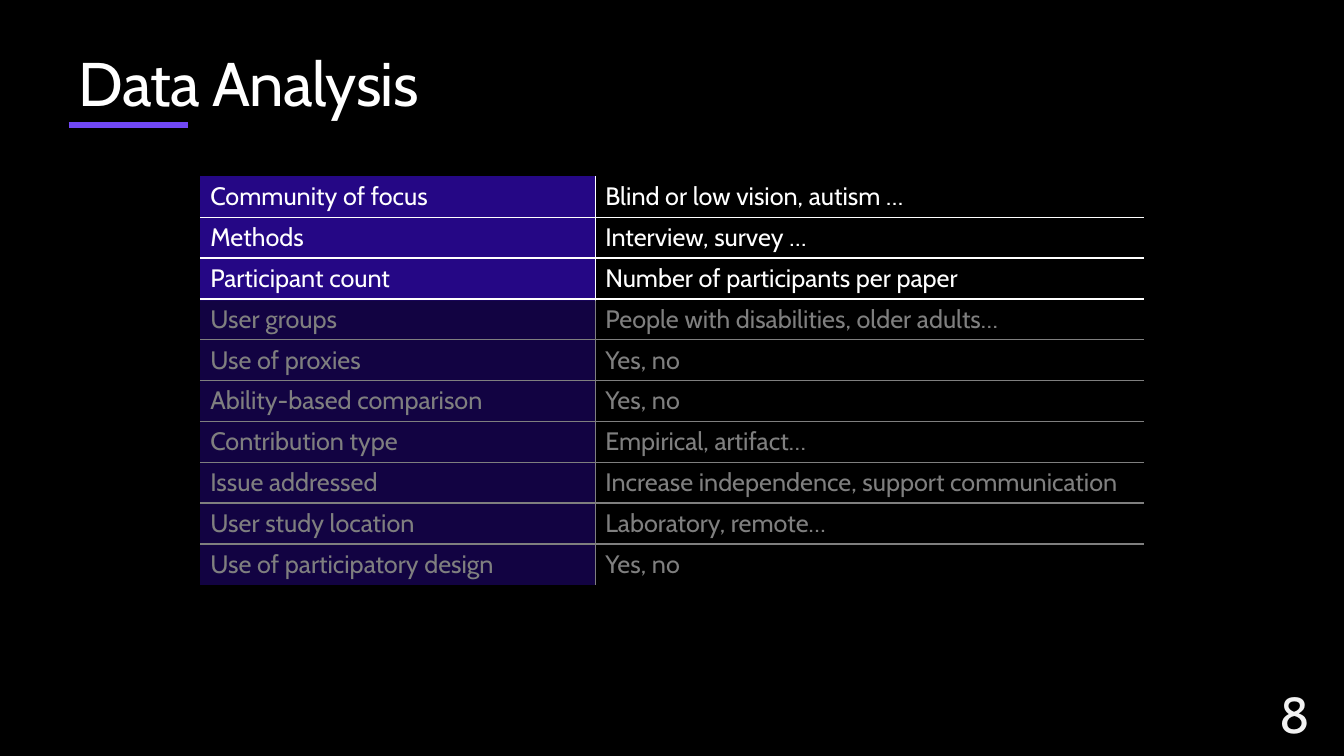
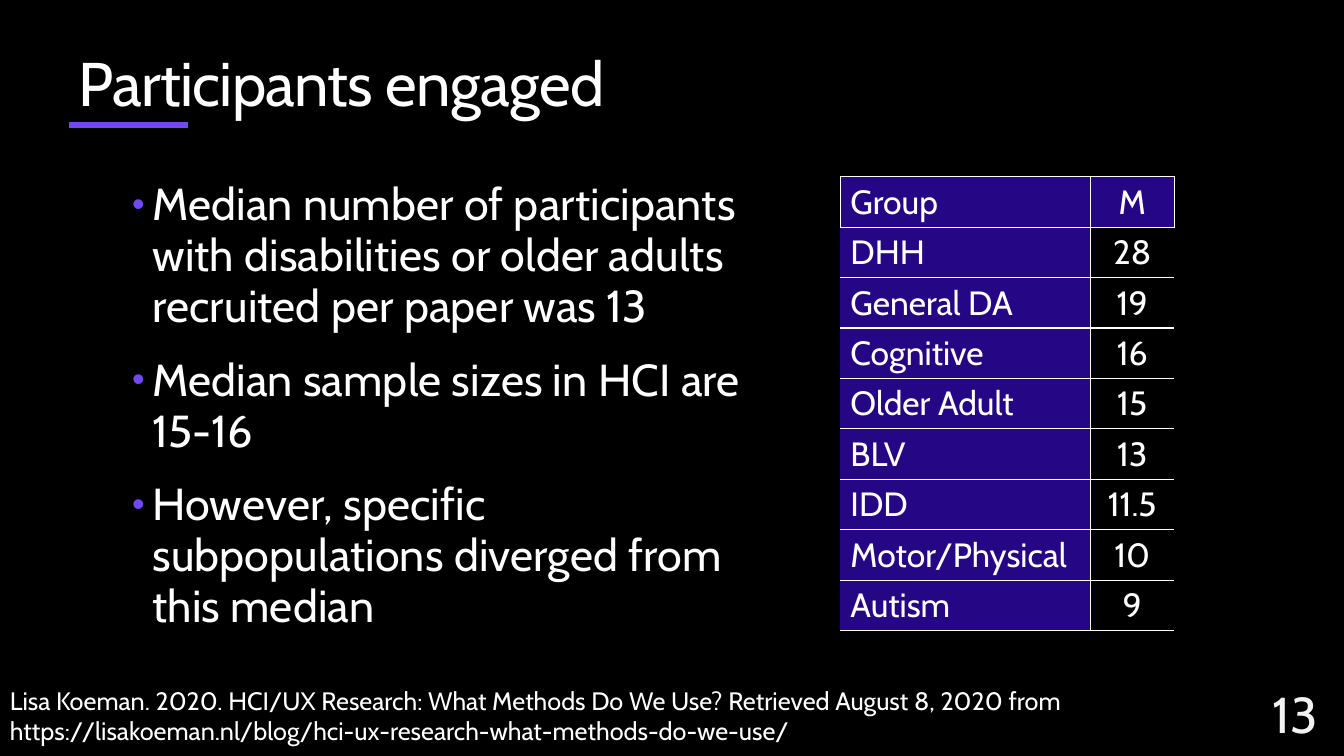
from dataclasses import dataclass

from lxml import etree
from pptx import Presentation
from pptx.dml.color import RGBColor
from pptx.enum.shapes import MSO_CONNECTOR, MSO_SHAPE
from pptx.enum.text import MSO_ANCHOR, PP_ALIGN
from pptx.oxml.ns import qn
from pptx.util import Pt

STRAIGHT = MSO_CONNECTOR.STRAIGHT
RECTANGLE = MSO_SHAPE.RECTANGLE
TOP, MIDDLE, BOTTOM = MSO_ANCHOR.TOP, MSO_ANCHOR.MIDDLE, MSO_ANCHOR.BOTTOM
LEFT, CENTER = PP_ALIGN.LEFT, PP_ALIGN.CENTER

FONT = "Cabin"
BLACK = "000000"
WHITE = "FFFFFF"
OFF_WHITE = "F2F2F2"
DARK_GRAY = "303030"
ACCENT = "7148F4"
LABEL_FILL = "250785"
PLAIN_TABLE_STYLE = "{2D5ABB26-0587-4C30-8999-92F81FD0307C}"


@dataclass
class Box:
    """A rectangle on the slide, in points."""
    left: float
    top: float
    width: float
    height: float

    def lengths(self) -> tuple:
        return Pt(self.left), Pt(self.top), Pt(self.width), Pt(self.height)


@dataclass
class TextStyle:
    size: float
    color: str = WHITE
    align: PP_ALIGN = LEFT
    spacing: float = 0
    line_spacing: float = 1.0


@dataclass
class TableDesign:
    left: float
    top: float
    column_widths: tuple
    row_height: float
    size: float
    value_align: PP_ALIGN = LEFT
    framed_header: bool = False


TITLE_STYLE = TextStyle(44, spacing=-0.5, line_spacing=0.9)
NUMBER_STYLE = TextStyle(36, OFF_WHITE, CENTER)
CITATION_STYLE = TextStyle(18)
BULLET_STYLE = TextStyle(32, spacing=0.1, line_spacing=0.95)

BAND_SHADE_BOX = Box(889.2, 0, 70.8, 540)
BAND_BOX = Box(888, 0, 72, 540)
TITLE_BOX = Box(49, 23, 763, 66)
NUMBER_BOX = Box(889.2, 486, 72, 46.8)
CITATION_BOX = Box(0, 486, 900.7, 51)
BULLET_BOX = Box(87.4, 124.8, 463.7, 371.5)

CODING_DESIGN = TableDesign(143, 126, (282.2, 392.2), 29.19, 18)
CODING_ROWS = [
    ("Community of focus", "Blind or low vision, autism …"),
    ("Methods", "Interview, survey …"),
    ("Participant count", "Number of participants per paper"),
    ("User groups", "People with disabilities, older adults…"),
    ("Use of proxies", "Yes, no"),
    ("Ability-based comparison", "Yes, no"),
    ("Contribution type", "Empirical, artifact…"),
    ("Issue addressed", "Increase independence, support communication"),
    ("User study location", "Laboratory, remote…"),
    ("Use of participatory design", "Yes, no"),
]
DIMMING_BOX = Box(143, 214.6, 674.6, 236.9)

MEDIAN_DESIGN = TableDesign(600.3, 126.2, (178.6, 59.8), 36, 24, CENTER, True)
MEDIAN_ROWS = [
    ("Group", "M"),
    ("DHH", "28"),
    ("General DA", "19"),
    ("Cognitive", "16"),
    ("Older Adult", "15"),
    ("BLV", "13"),
    ("IDD", "11.5"),
    ("Motor/Physical", "10"),
    ("Autism", "9"),
]
FINDINGS = [
    "Median number of participants with disabilities or older adults recruited per paper was 13",
    "Median sample sizes in HCI are 15-16",
    "However, specific subpopulations diverged from this median",
]
CITATION = (
    "Lisa Koeman. 2020. HCI/UX Research: What Methods Do We Use? Retrieved August 8, 2020 from "
    "https://lisakoeman.nl/blog/hci-ux-research-what-methods-do-we-use/"
)


def rgb(color: str) -> RGBColor:
    return RGBColor.from_string(color)


def style_paragraph(paragraph, style: TextStyle) -> None:
    paragraph.alignment = style.align
    paragraph.line_spacing = style.line_spacing
    for run in paragraph.runs:
        run.font.name = FONT
        run.font.size = Pt(style.size)
        run.font.color.rgb = rgb(style.color)
        if style.spacing:
            run.font._element.set("spc", str(round(style.spacing * 100)))


def add_text(slide, box: Box, text: str, style: TextStyle, anchor: MSO_ANCHOR = TOP):
    text_frame = slide.shapes.add_textbox(*box.lengths()).text_frame
    text_frame.word_wrap = True
    text_frame.vertical_anchor = anchor
    text_frame.text = text
    for paragraph in text_frame.paragraphs:
        style_paragraph(paragraph, style)
    return text_frame


def add_bullet(paragraph) -> None:
    properties = paragraph._p.get_or_add_pPr()
    properties.set("marL", str(Pt(14.4)))
    properties.set("indent", str(-Pt(14.4)))
    bullet_color = etree.SubElement(properties, qn("a:buClr"))
    etree.SubElement(bullet_color, qn("a:srgbClr"), val=ACCENT)
    etree.SubElement(properties, qn("a:buSzPct"), val="80000")
    etree.SubElement(properties, qn("a:buFont"), typeface="Arial")
    etree.SubElement(properties, qn("a:buChar"), char="•")


def add_bullets(slide, box: Box, items: list) -> None:
    text_frame = add_text(slide, box, "\n".join(items), BULLET_STYLE)
    for index, paragraph in enumerate(text_frame.paragraphs):
        add_bullet(paragraph)
        paragraph.space_before = Pt(14 if index else 0)
        paragraph.space_after = Pt(2)


def add_border(cell, side: str) -> None:
    """Draw a white line on one side of a cell: L, R, T or B."""
    properties = cell._tc.get_or_add_tcPr()
    line = etree.SubElement(properties, qn(f"a:ln{side}"), w=str(Pt(1)))
    fill = etree.SubElement(line, qn("a:solidFill"))
    etree.SubElement(fill, qn("a:srgbClr"), val=WHITE)


def add_table(slide, design: TableDesign, rows: list) -> None:
    """Rule the inner edges; a framed header also closes the table's bottom."""
    last_row, last_column = len(rows) - 1, len(design.column_widths) - 1
    box = Box(design.left, design.top, sum(design.column_widths), design.row_height * len(rows))
    table = slide.shapes.add_table(last_row + 1, last_column + 1, *box.lengths()).table
    table._tbl.tblPr.find(qn("a:tableStyleId")).text = PLAIN_TABLE_STYLE
    table.first_row = table.horz_banding = False
    for column, width in zip(table.columns, design.column_widths):
        column.width = Pt(width)
    for row_index, texts in enumerate(rows):
        table.rows[row_index].height = Pt(design.row_height)
        framed = design.framed_header and row_index == 0
        for column_index, text in enumerate(texts):
            cell = table.cell(row_index, column_index)
            borders = {
                "L": framed or column_index > 0,
                "R": framed or column_index < last_column,
                "T": framed or row_index > 0,
                "B": design.framed_header or row_index < last_row,
            }
            for side, visible in borders.items():
                if visible:
                    add_border(cell, side)
            if framed or column_index == 0:
                cell.fill.solid()
                cell.fill.fore_color.rgb = rgb(LABEL_FILL)
            else:
                cell.fill.background()
            cell.text_frame.text = text
            align = design.value_align if column_index else LEFT
            style_paragraph(cell.text_frame.paragraphs[0], TextStyle(design.size, align=align))


def add_rectangle(slide, box: Box, color: str):
    shape = slide.shapes.add_shape(RECTANGLE, *box.lengths())
    shape.shadow.inherit = False
    shape.line.fill.background()
    shape.fill.solid()
    shape.fill.fore_color.rgb = rgb(color)
    return shape


def add_dimming(slide, box: Box) -> None:
    """Cover an area with half-transparent black."""
    shape = add_rectangle(slide, box, BLACK)
    color = shape._element.spPr.find(f"{qn('a:solidFill')}/{qn('a:srgbClr')}")
    etree.SubElement(color, qn("a:alpha"), val="50000")


def add_side_band(slide) -> None:
    add_rectangle(slide, BAND_SHADE_BOX, DARK_GRAY)
    band = add_rectangle(slide, BAND_BOX, BLACK)
    band.line.color.rgb = rgb(BLACK)
    band.line.width = Pt(1.1)


def add_title_rule(slide) -> None:
    connector = slide.shapes.add_connector(STRAIGHT, Pt(49), Pt(89.3), Pt(134), Pt(89.3))
    connector.line.color.rgb = rgb(ACCENT)
    connector.line.width = Pt(4.5)
    etree.SubElement(connector._element.spPr, qn("a:effectLst"))


def add_slide(presentation, title: str, number: str):
    """Add a slide with the shared side band, title, rule and slide number."""
    slide = presentation.slides.add_slide(presentation.slide_layouts[6])
    add_side_band(slide)
    add_title_rule(slide)
    number_frame = add_text(slide, NUMBER_BOX, number, NUMBER_STYLE, MIDDLE)
    number_frame.margin_left = number_frame.margin_right = Pt(3.6)
    add_text(slide, TITLE_BOX, title, TITLE_STYLE, BOTTOM)
    return slide


def main() -> None:
    presentation = Presentation()
    presentation.slide_width, presentation.slide_height = Pt(960), Pt(540)
    background = presentation.slide_master.background.fill
    background.solid()
    background.fore_color.rgb = rgb(BLACK)

    analysis = add_slide(presentation, "Data Analysis", "8")
    add_table(analysis, CODING_DESIGN, CODING_ROWS)
    add_dimming(analysis, DIMMING_BOX)

    participants = add_slide(presentation, "Participants engaged", "13")
    add_text(participants, CITATION_BOX, CITATION, CITATION_STYLE)
    add_table(participants, MEDIAN_DESIGN, MEDIAN_ROWS)
    add_bullets(participants, BULLET_BOX, FINDINGS)

    presentation.save("out.pptx")


if __name__ == "__main__":
    main()
